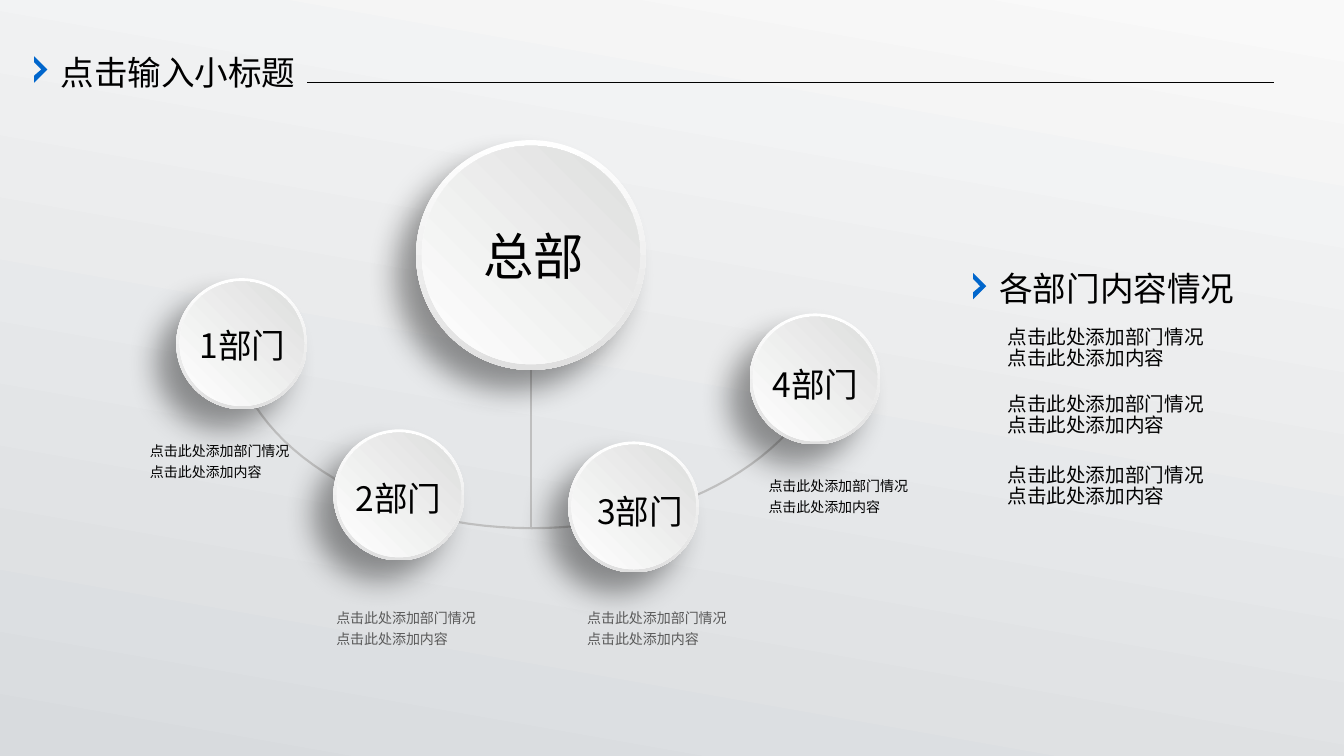
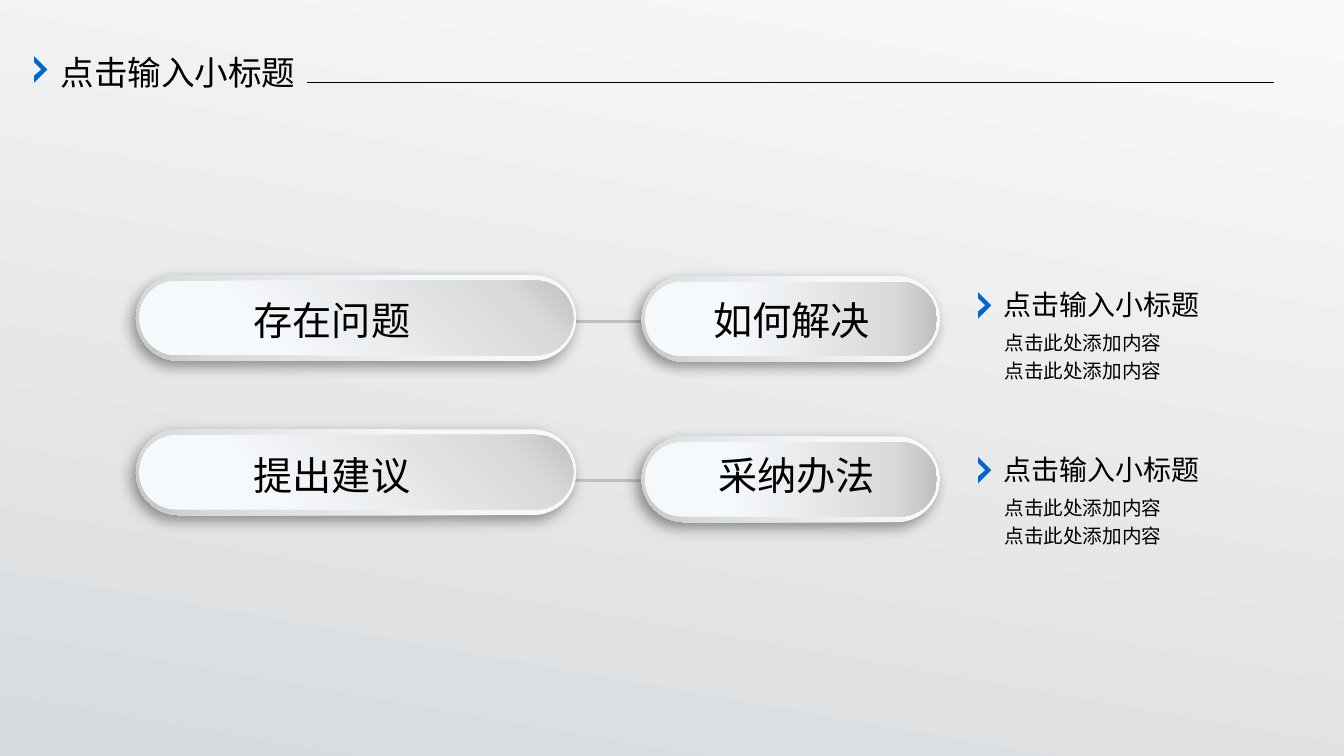
"""Build two slides: a department map and a problem-to-solution flow."""
from itertools import zip_longest

from lxml import etree
from pptx import Presentation
from pptx import util as u
from pptx.dml.color import RGBColor
from pptx.enum import shapes, text
from pptx.oxml import ns

CELL = u.Inches(0.1)
COLUMNS, ROWS = 133.4, 75
FONT = "Noto Sans CJK SC"
BLACK = RGBColor(0x00, 0x00, 0x00)
GREY = RGBColor(0x59, 0x59, 0x59)
SILVER = RGBColor(0xBF, 0xBF, 0xBF)
BLUE = RGBColor(0x00, 0x66, 0xCC)
WHITE = RGBColor(0xFF, 0xFF, 0xFF)
PEARL = RGBColor(0xF6, 0xF9, 0xFC)
ASH = RGBColor(0xD9, 0xD9, 0xD9)
BACKDROP = [(0, RGBColor(0xD8, 0xDB, 0xDE)), (100, RGBColor(0xF9, 0xF9, 0xF9))]
RIM = [(0, WHITE), (100, RGBColor(0xE0, 0xE0, 0xE0))]
FACE = [(0, WHITE), (100, RGBColor(0xDD, 0xDE, 0xDD))]
STEEL = [(28, PEARL), (85, ASH), (100, SILVER)]
LEFT, CENTER = text.PP_ALIGN.LEFT, text.PP_ALIGN.CENTER
OVAL, PILL = shapes.MSO_SHAPE.OVAL, shapes.MSO_SHAPE.ROUNDED_RECTANGLE


def cells(*values):
    return [u.Emu(round(value * CELL)) for value in values]


def child(parent, tag, **attributes):
    values = {key: str(value) for key, value in attributes.items()}
    return etree.SubElement(parent, ns.qn(tag), values)


def gradient(owner, fill, stops, angle):
    fill.gradient()
    fill.gradient_angle = (360 - angle) % 360
    stop_list = owner.find(".//" + ns.qn("a:gsLst"))
    for stop in list(stop_list):
        stop_list.remove(stop)
    for position, color in stops:
        stop = child(stop_list, "a:gs", pos=position * 1000)
        child(stop, "a:srgbClr", val=color)


def curve(start, first, second, end, steps=24):
    for step in range(steps + 1):
        t = step / steps
        weights = ((1 - t) ** 3, 3 * t * (1 - t) ** 2, 3 * t * t * (1 - t), t ** 3)
        points = (start, first, second, end)
        yield tuple(sum(w * p[axis] for w, p in zip(weights, points)) for axis in (0, 1))


class Board:
    """Holds the shared style and the slide being drawn."""

    def __init__(self):
        self.deck = Presentation()
        self.deck.slide_width, self.deck.slide_height = cells(COLUMNS, ROWS)
        master = self.deck.slide_master
        gradient(master.element, master.background.fill, BACKDROP, 280)
        self.page = None

    def new_page(self, layout, title):
        self.page = self.deck.slides.add_slide(self.deck.slide_layouts[layout])
        self.words((5, 4.6, 27.1, 5), [title], 24, box=self.page.shapes.title)
        self.chevron(3.4, 5.6)
        self.line((30.5, 8.2), (126.5, 8.2), BLACK, 0.75)

    def words(self, place, lines, size, color=BLACK, align=LEFT,
              leading=None, gaps=(), box=None):
        box = box or self.page.shapes.add_textbox(*cells(*place))
        box.left, box.top, box.width, box.height = cells(*place)
        frame = box.text_frame
        frame.word_wrap = True
        frame.auto_size = text.MSO_AUTO_SIZE.NONE
        frame.vertical_anchor = text.MSO_ANCHOR.MIDDLE
        for index, (line, gap) in enumerate(zip_longest(lines, gaps, fillvalue=0)):
            para = frame.add_paragraph() if index else frame.paragraphs[0]
            para.alignment = align
            para.space_before = u.Pt(gap)
            if leading:
                para.line_spacing = u.Pt(leading)
            if box.is_placeholder:
                settings = para._p.get_or_add_pPr()
                settings.set("marL", "0")
                settings.set("indent", "0")
                child(settings, "a:buNone")
            span = para.add_run()
            span.text = line
            span.font.size = u.Pt(size)
            span.font.name = FONT
            span.font.color.rgb = color
            child(span._r.get_or_add_rPr(), "a:ea", typeface=FONT)

    def line(self, start, end, color, width):
        connector = self.page.shapes.add_connector(
            shapes.MSO_CONNECTOR.STRAIGHT, *cells(*start, *end))
        connector.line.color.rgb = color
        connector.line.width = u.Pt(width)
        child(connector._element.spPr, "a:effectLst")

    def outline(self, points, close):
        corners = [cells(*point) for point in points]
        builder = self.page.shapes.build_freeform(*corners[0])
        builder.add_line_segments(corners[1:], close=close)
        shape = builder.convert_to_shape()
        shape.shadow.inherit = False
        return shape

    def arc(self, points):
        shape = self.outline(points, False)
        shape.fill.background()
        shape.line.color.rgb = SILVER
        shape.line.width = u.Pt(1.5)

    def chevron(self, left, top):
        corners = [(0, 0), (1.3, 1.3), (0, 2.6), (0, 1.9), (0.7, 1.3), (0, 0.6)]
        shape = self.outline([(left + x, top + y) for x, y in corners], True)
        shape.fill.solid()
        shape.fill.fore_color.rgb = BLUE
        shape.line.fill.background()

    def plate(self, kind, place, stops, angle, shadow=None):
        shape = self.page.shapes.add_shape(kind, *cells(*place))
        if kind == PILL:
            shape.adjustments[0] = 0.5
        gradient(shape._element, shape.fill, stops, angle)
        shape.line.fill.background()
        shape.shadow.inherit = False
        if shadow:
            blur, distance = shadow
            effects = shape._element.spPr.find(ns.qn("a:effectLst"))
            outer = child(effects, "a:outerShdw", blurRad=u.Pt(blur), dist=u.Pt(distance),
                          dir=135 * 60000, algn="tr", rotWithShape=0)
            tint = child(outer, "a:srgbClr", val=BLACK)
            child(tint, "a:alpha", val=40000)

    def disc(self, left, top, size):
        inset = size * 0.025
        inner = size - 2 * inset
        self.plate(OVAL, (left, top, size, size), RIM, 90, (22, 20))
        self.plate(OVAL, (left + inset, top + inset, inner, inner), FACE, 315)

    def pill(self, left, top, width, angle):
        self.plate(PILL, (left, top, width, 8.5), STEEL, 135, (10, 5))
        self.plate(PILL, (left + 0.3, top + 0.55, width - 0.6, 7.4), STEEL, angle)


def department_page(board):
    board.new_page(1, "点击输入小标题")
    details = ["点击此处添加部门情况", "点击此处添加内容"]
    right_half = curve((80.9, 39.2), (76.5, 47), (65.6, 52.4), (52.8, 52.4))
    left_half = curve((52.8, 52.4), (40, 52.4), (29, 47), (24.7, 39.2))
    board.arc([*right_half, *left_half])
    board.line((52.75, 32.7), (52.75, 52.4), SILVER, 1.5)
    board.disc(41.3, 13.9, 22.8)
    board.words((45.8, 21.8, 14.3, 7.1), ["总部"], 36, align=CENTER)
    departments = [
        ((17.5, 27.6), (16.9, 31.7), (13.9, 43), BLACK),
        ((33.1, 42.6), (32.4, 46.9), (32.4, 59.5), GREY),
        ((56.4, 43.8), (56.4, 48.2), (57.3, 59.5), GREY),
        ((74.4, 31.1), (73.8, 35.6), (75.3, 46.4), BLACK),
    ]
    for number, (disc, label, note, color) in enumerate(departments, 1):
        board.disc(*disc, 13)
        board.words((*label, 14.3, 5), [f"{number}部门"], 24, align=CENTER)
        board.words((*note, 23.3, 5.2), details, 10, color, leading=15)
    board.chevron(96.6, 27.1)
    board.words((98.2, 26.1, 27.5, 5), ["各部门内容情况"], 24)
    board.words((99, 32, 23.3, 18.9), details * 3, 14, leading=15,
                gaps=(0, 0, 17.5, 0, 21), box=board.page.placeholders[1])


def solution_page(board):
    board.new_page(3, "点击输入小标题")
    board.line((52.5, 31.9), (68.3, 31.9), SILVER, 2)
    board.line((50.9, 47.6), (64.2, 47.7), SILVER, 2)
    flows = [
        (27.3, 27.4, 28.9, "存在问题", "如何解决", 66.9),
        (42.6, 43.3, 44.3, "提出建议", "采纳办法", 67.4),
    ]
    for row, (issue_top, answer_top, label_top, issue, answer, answer_left) in enumerate(flows):
        board.pill(63.7, answer_top, 29.6, 0)
        board.pill(13.5, issue_top, 43.7, 315)
        for left, label in ((21.3, issue), (answer_left, answer)):
            board.words((left, label_top, 23.3, 5.7), [label], 28, align=CENTER)
        top = 28 + 16.35 * row
        board.chevron(97.1, top + 1)
        board.words((98.6, top, 27.1, 4.4), ["点击输入小标题"], 20)
        board.words((98.7, top + 3.9, 23.3, 6.6), ["点击此处添加内容"] * 2, 14,
                    leading=20, box=board.page.placeholders[row + 1])


def main():
    board = Board()
    department_page(board)
    solution_page(board)
    board.deck.save("out.pptx")


if __name__ == "__main__":
    main()
